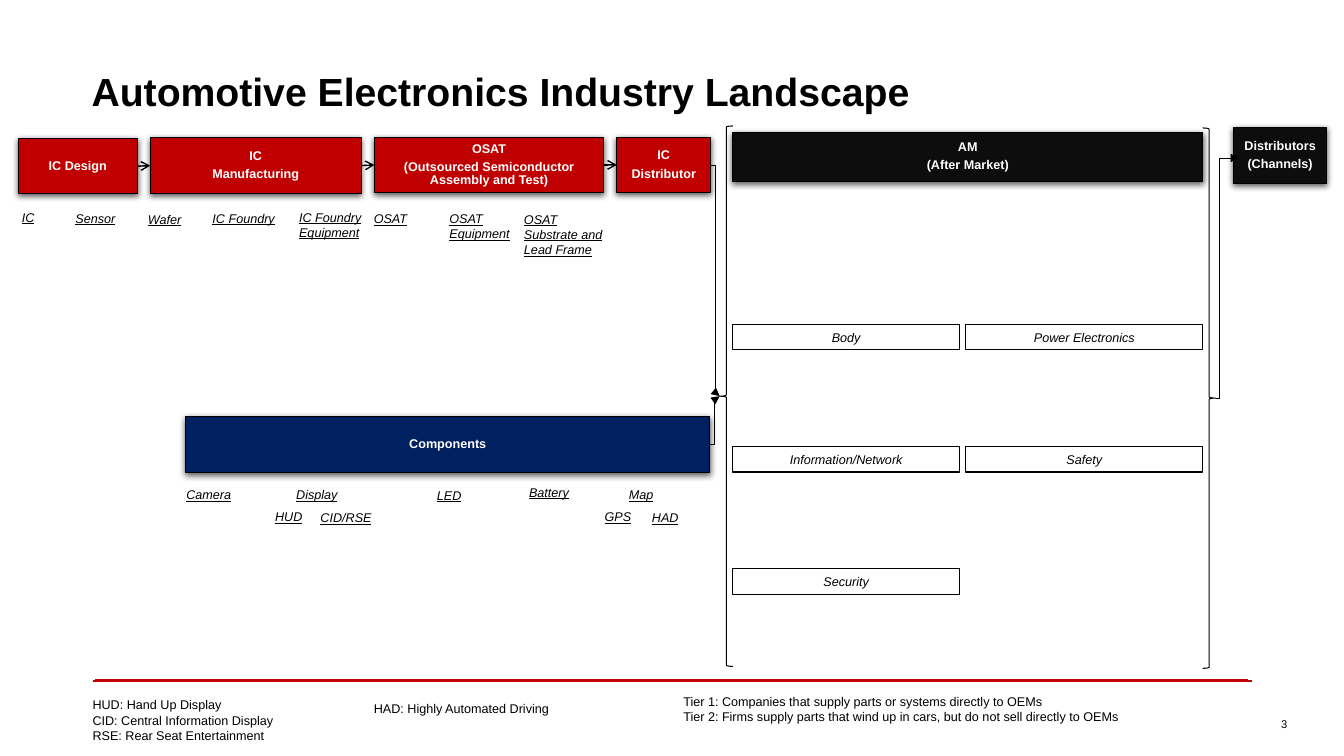
from dataclasses import dataclass

from lxml import etree
from pptx import Presentation
from pptx.dml.color import RGBColor
from pptx.enum.shapes import MSO_CONNECTOR, MSO_SHAPE
from pptx.enum.text import MSO_ANCHOR, PP_ALIGN
from pptx.oxml.ns import qn
from pptx.util import Pt

LEFT, CENTER, RIGHT = PP_ALIGN.LEFT, PP_ALIGN.CENTER, PP_ALIGN.RIGHT
TOP, MIDDLE = MSO_ANCHOR.TOP, MSO_ANCHOR.MIDDLE
STRAIGHT, ELBOW = MSO_CONNECTOR.STRAIGHT, MSO_CONNECTOR.ELBOW
RECTANGLE = MSO_SHAPE.RECTANGLE
LEFT_BRACE, RIGHT_BRACE = MSO_SHAPE.LEFT_BRACE, MSO_SHAPE.RIGHT_BRACE
SIDE_LEFT, SIDE_RIGHT = 1, 3


@dataclass(frozen=True)
class Theme:
    font: str = "Arial"
    black: RGBColor = RGBColor(0, 0, 0)
    white: RGBColor = RGBColor(255, 255, 255)
    red: RGBColor = RGBColor(0xC0, 0, 0)
    rule_red: RGBColor = RGBColor(0xBE, 0x05, 0x0A)
    navy: RGBColor = RGBColor(0, 0x20, 0x60)
    charcoal: RGBColor = RGBColor(0x0D, 0x0D, 0x0D)
    title_size: float = 28
    body_size: float = 9
    number_size: float = 8


theme = Theme()
presentation = Presentation()
presentation.slide_width, presentation.slide_height = Pt(960), Pt(540)
slide = presentation.slides.add_slide(presentation.slide_layouts[6])


def add_text(text, left, top, width, height, *, preset=None, fill=None, size=theme.body_size,
             color=theme.black, bold=False, italic=False, underline=False,
             align=LEFT, anchor=TOP):
    """Add a text box, or an outlined preset shape; a filled shape becomes a shadowed header."""
    bounds = Pt(left), Pt(top), Pt(width), Pt(height)
    if preset is None:
        shape = slide.shapes.add_textbox(*bounds)
    else:
        shape = slide.shapes.add_shape(preset, *bounds)
        shape.fill.background()
        shape.line.color.rgb = theme.black
        shape.line.width = Pt(0.75)
        shape.shadow.inherit = False
    frame = shape.text_frame
    frame.word_wrap = True
    frame.vertical_anchor = anchor
    if fill is not None:
        shape.fill.solid()
        shape.fill.fore_color.rgb = fill
        effects = shape._element.spPr.find(qn("a:effectLst"))
        shadow = etree.SubElement(effects, qn("a:outerShdw"), blurRad=str(Pt(4.5)),
                                  dist=str(Pt(1.5)), dir="5400000", rotWithShape="0")
        shade = etree.SubElement(shadow, qn("a:srgbClr"), val=str(theme.black))
        etree.SubElement(shade, qn("a:alpha"), val="63000")
        frame.margin_left = frame.margin_right = Pt(0.72)
        frame.margin_top = frame.margin_bottom = Pt(0.72)
    for index, line in enumerate(text.split("\n") if text else []):
        paragraph = frame.paragraphs[0] if index == 0 else frame.add_paragraph()
        paragraph.alignment = align
        if fill is not None:
            paragraph.line_spacing = 0.9
            paragraph.space_after = Pt(3.15)
        run = paragraph.add_run()
        run.text = line
        font = run.font
        font.name, font.size, font.color.rgb = theme.font, Pt(size), color
        font.bold, font.italic, font.underline = bold, italic, underline
    return shape


def add_line(start, end, *, kind=STRAIGHT, color=theme.black, width=1, head=None):
    connector = slide.shapes.add_connector(kind, *(Pt(value) for value in (*start, *end)))
    connector.line.color.rgb = color
    connector.line.width = Pt(width)
    properties = connector._element.spPr
    if head:
        etree.SubElement(properties.find(qn("a:ln")), qn("a:tailEnd"), type=head)
    etree.SubElement(properties, qn("a:effectLst"))
    return connector


# Title and footer
add_line((67.7, 486), (891.4, 486), color=theme.rule_red, width=1.5)
add_line((66.2, 486.7), (894.2, 486.7), color=theme.red, width=1.5)
add_text("Automotive Electronics Industry Landscape", 58.3, 50.4, 651.6, 28.8,
         size=theme.title_size, bold=True, anchor=MIDDLE)
add_text("3", 814.3, 501.8, 112.3, 30.2, size=theme.number_size, align=RIGHT, anchor=MIDDLE)
for note, left, top, width, height in (
    ("HUD: Hand Up Display\nCID: Central Information Display\nRSE: Rear Seat Entertainment",
     59, 494.6, 144.7, 40.3),
    ("HAD: Highly Automated Driving", 259.9, 496.8, 144.7, 18),
    ("Tier 1: Companies that supply parts or systems directly to OEMs\n"
     "Tier 2: Firms supply parts that wind up in cars, but do not sell directly to OEMs",
     481, 491.8, 334.1, 28.8),
):
    add_text(note, left, top, width, height)

# Category labels: text, left, top, width
for label, left, top, width in (
    ("IC", 8.6, 146.2, 42.5), ("Sensor", 46.8, 146.9, 58.3), ("Wafer", 98.6, 147.6, 72),
    ("IC Foundry", 144.7, 146.9, 74.2), ("IC Foundry Equipment", 206.6, 146.2, 86.4),
    ("OSAT", 259.9, 147.2, 75.6), ("OSAT Equipment", 313.9, 147.2, 73.4),
    ("OSAT Substrate and Lead Frame", 367.2, 147.6, 73.4),
    ("Camera", 126, 344.2, 88.6), ("Display", 204.5, 344.2, 88.6), ("LED", 305, 344.9, 40),
    ("Battery", 370.8, 342.7, 51.8), ("Map", 442.1, 344.2, 40),
    ("HUD", 189.4, 360, 40), ("CID/RSE", 221.8, 360.7, 59),
    ("GPS", 424.8, 360, 40), ("HAD", 458.6, 360.7, 40),
):
    add_text(label, left, top, width, 18, italic=True, underline=True)

# Header boxes: text, left, top, width, height, fill
headers = [
    add_text(text, left, top, width, height, preset=RECTANGLE, fill=fill,
             color=theme.white, bold=True, align=CENTER, anchor=MIDDLE)
    for text, left, top, width, height, fill in (
        ("IC Design", 13, 98.8, 85, 39.8, theme.red),
        ("IC\nManufacturing", 107.3, 98.4, 150.7, 39.8, theme.red),
        ("OSAT\n(Outsourced Semiconductor Assembly and Test)", 267.5, 97.9, 163.6, 39.8,
         theme.red),
        ("IC\nDistributor", 440.6, 97.9, 67, 39.8, theme.red),
        ("Components", 132.5, 297.7, 374.6, 39.8, theme.navy),
        ("AM\n(After Market)", 523.4, 94.3, 335.8, 35.3, theme.charcoal),
        ("Distributors\n(Channels)", 881.3, 91.2, 66.2, 39.8, theme.charcoal),
    )
]
supply_chain, components = headers[:4], headers[4]

# After-market fields on a two-column grid
columns = ((523.4, 162), (690, 169))
fields = ("Body", "Power Electronics", "Information/Network", "Safety", "Security")
for index, field in enumerate(fields):
    row, column = divmod(index, 2)
    left, width = columns[column]
    add_text(field, left, 231.8 + 87.2 * row, width, 18.2, preset=RECTANGLE,
             italic=True, align=CENTER)

left_brace = add_text("", 514.1, 90, 9.4, 386, preset=LEFT_BRACE)
add_text("", 859, 91.4, 9.4, 386, preset=RIGHT_BRACE)

# Flow arrows
for source, target in zip(supply_chain, supply_chain[1:]):
    arrow = add_line((0, 0), (0, 0), head="arrow")
    arrow.begin_connect(source, SIDE_RIGHT)
    arrow.end_connect(target, SIDE_LEFT)
for source in (supply_chain[-1], components):
    arrow = add_line((0, 0), (0, 0), kind=ELBOW, width=0.5, head="triangle")
    arrow.begin_connect(source, SIDE_RIGHT)
    arrow.end_connect(left_brace, SIDE_LEFT)
channel_arrow = add_line((868.3, 284.4), (885, 112.9), kind=ELBOW, width=0.5, head="triangle")
geometry = channel_arrow._element.spPr.find(qn("a:prstGeom"))
bend = geometry.find(qn("a:avLst"))
if bend is None:
    bend = etree.SubElement(geometry, qn("a:avLst"))
etree.SubElement(bend, qn("a:gd"), name="adj1", fmla="val 17000")

presentation.save("out.pptx")
